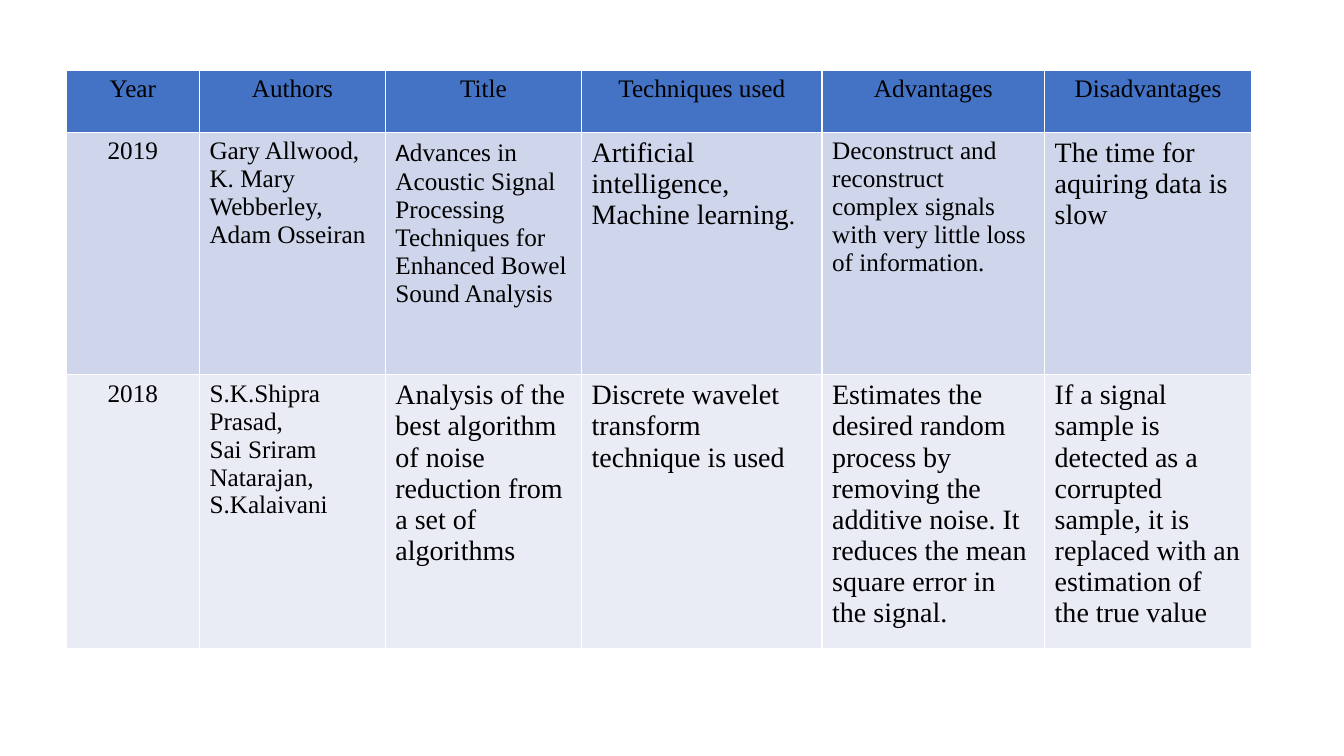
from pptx import Presentation
from pptx import util as u
from pptx.dml.color import RGBColor
from pptx.enum import text

PX = 9525  # 96 px to the inch
SERIF, SANS = "Times New Roman", "Calibri"
COLORS = {"head": "4472C4", "dark": "CFD5EA", "light": "E9EBF5", "ink": "000000"}
BANDS = ["head", "dark", "light"]
WIDTHS = [127, 177, 187, 229, 212, 197]
HEIGHTS = [59, 231, 261]

# A cell is a list of paragraphs, a paragraph a list of (words, size, font) runs.
HEADS = ["Year", "Authors", "Title", "Techniques used", "Advantages", "Disadvantages"]
PAPERS = [
    [
        [[("2019", 18, SERIF)]],
        [[(name, 18, SERIF)] for name in
         ("Gary Allwood,", "K. Mary Webberley,", "Adam Osseiran")],
        [[("A", 18, SANS),
          ("dvances in Acoustic Signal Processing Techniques for "
           "Enhanced Bowel Sound Analysis", 18, SERIF)]],
        [[("Artificial intelligence,", 20, SERIF)],
         [("Machine learning", 20, SERIF), (".", 18, SERIF)]],
        [[("Deconstruct and reconstruct complex signals with very little "
           "loss of information.", 18, SERIF)]],
        [[("The time for aquiring data is slow", 20, SERIF)]],
    ],
    [
        [[("2018", 18, SERIF)]],
        [[(name, 18, SERIF)] for name in
         ("S.K.Shipra Prasad,", "Sai Sriram Natarajan,", "S.Kalaivani")],
        [[("Analysis of the best algorithm of noise reduction from a set "
           "of algorithms", 20, SERIF)]],
        [[("Discrete wavelet transform technique is used", 20, SERIF)]],
        [[("Estimates the desired random process by removing the additive "
           "noise. It reduces the mean square error in the signal.", 20, SERIF)]],
        [[("If a signal sample is detected as a corrupted sample, it is "
           "replaced with an estimation of the true value", 20, SERIF)]],
    ],
]
ROWS = [[[[(head, 18, SERIF)]] for head in HEADS]] + PAPERS

deck = Presentation()
deck.slide_width, deck.slide_height = 1280 * PX, 720 * PX
slide = deck.slides.add_slide(deck.slide_layouts[6])

table = slide.shapes.add_table(
    len(HEIGHTS), len(WIDTHS), 63 * PX, 67 * PX,
    sum(WIDTHS) * PX, sum(HEIGHTS) * PX).table
for column, width in zip(table.columns, WIDTHS):
    column.width = width * PX
for row, height in zip(table.rows, HEIGHTS):
    row.height = height * PX

for r, (row, band) in enumerate(zip(ROWS, BANDS)):
    for c, paras in enumerate(row):
        cell = table.cell(r, c)
        cell.fill.solid()
        cell.fill.fore_color.rgb = RGBColor.from_string(COLORS[band])
        frame = cell.text_frame
        for i, runs in enumerate(paras):
            para = frame.add_paragraph() if i else frame.paragraphs[0]
            center = r == 0 or c == 0
            para.alignment = text.PP_ALIGN.CENTER if center else text.PP_ALIGN.LEFT
            for words, size, face in runs:
                run = para.add_run()
                run.text = words
                style = {"size": u.Pt(size), "name": face, "bold": False}
                for key, value in style.items():
                    setattr(run.font, key, value)
                run.font.color.rgb = RGBColor.from_string(COLORS["ink"])

deck.save("out.pptx")
